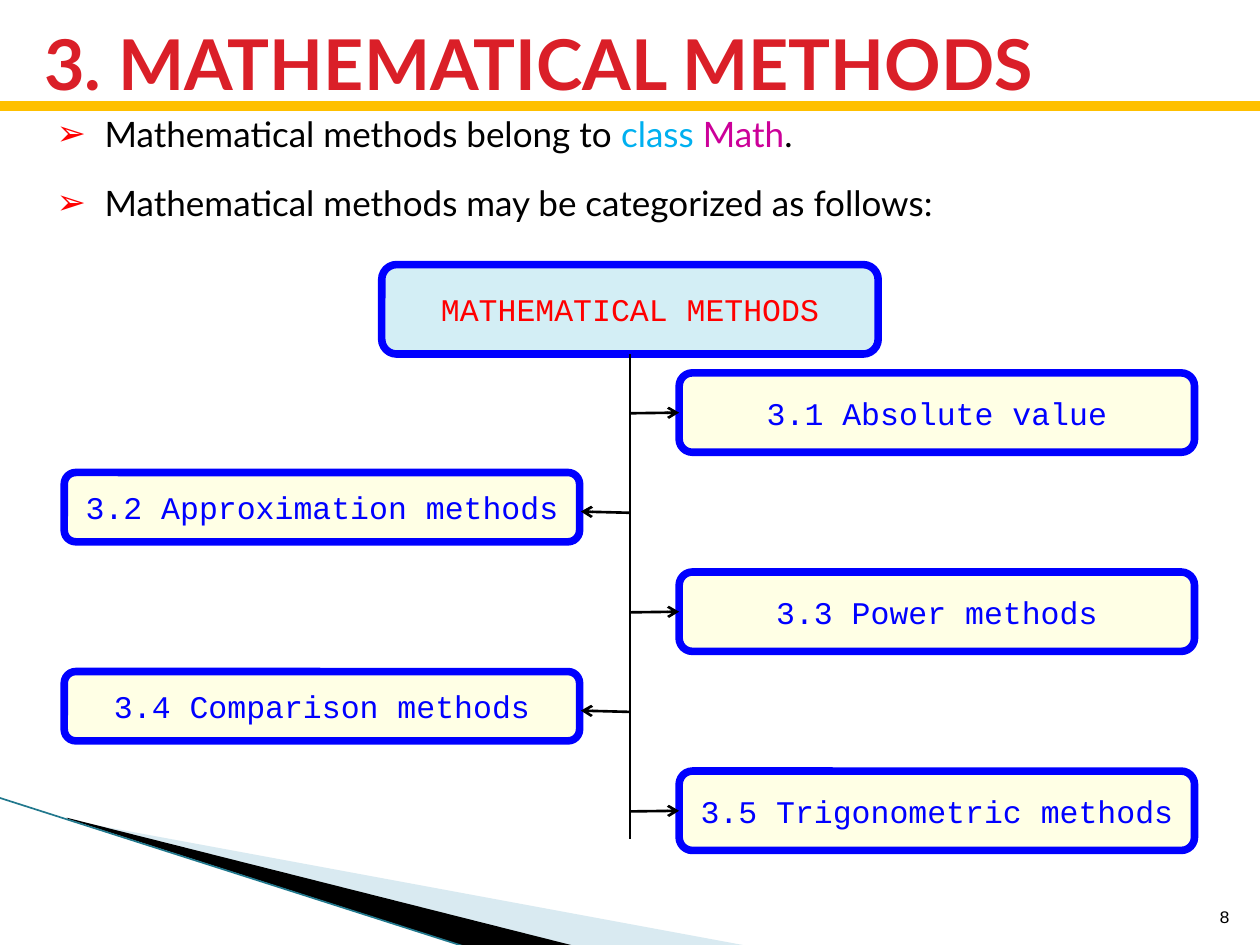
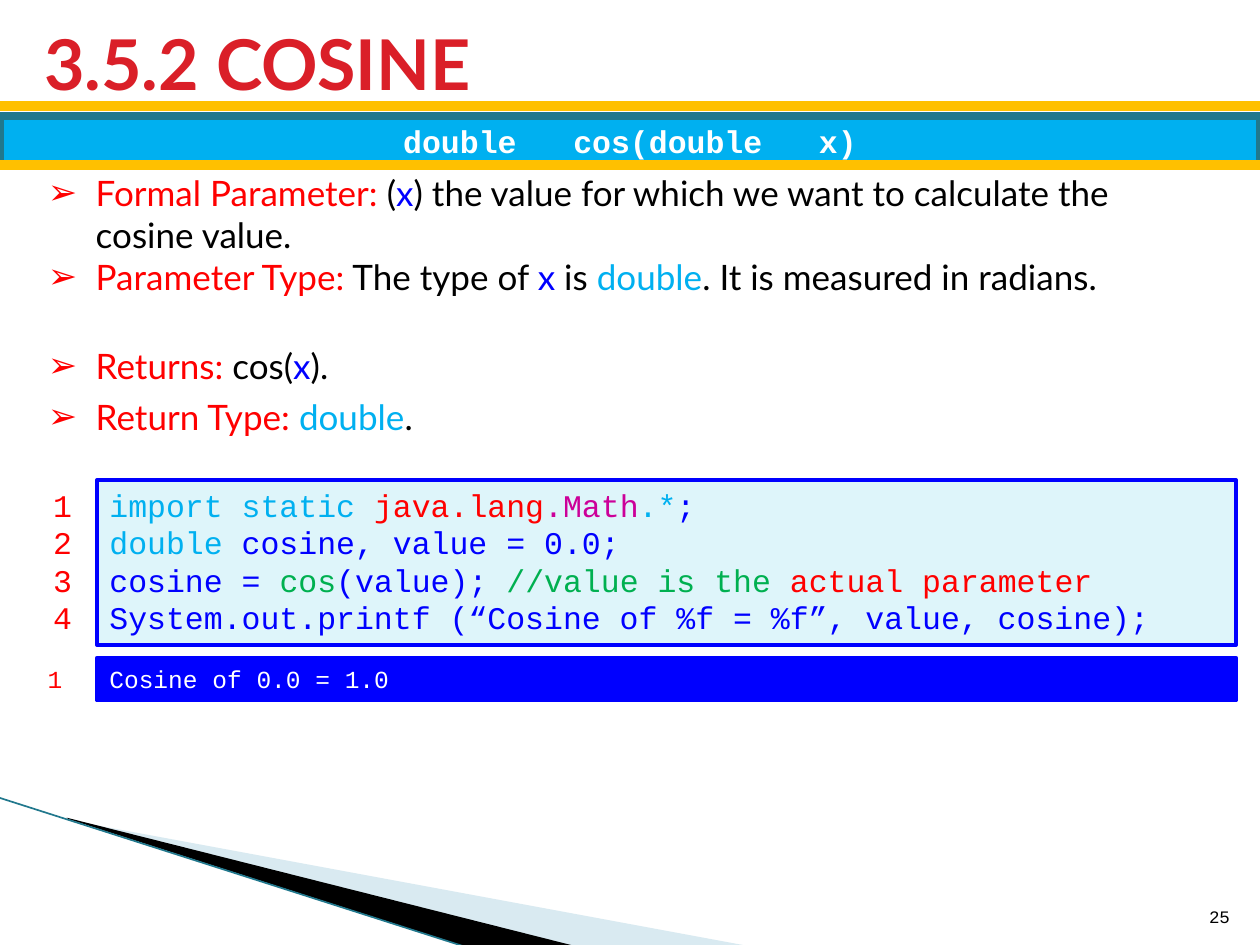
from lxml import etree
from pptx import Presentation
from pptx.dml.color import RGBColor
from pptx.enum.shapes import MSO_CONNECTOR, MSO_SHAPE
from pptx.enum.text import MSO_ANCHOR, MSO_AUTO_SIZE, PP_ALIGN
from pptx.oxml.ns import qn
from pptx.util import Inches, Pt

LEFT, CENTER, RIGHT = PP_ALIGN.LEFT, PP_ALIGN.CENTER, PP_ALIGN.RIGHT
TOP, MIDDLE, BOTTOM = MSO_ANCHOR.TOP, MSO_ANCHOR.MIDDLE, MSO_ANCHOR.BOTTOM
RECT, ROUNDED = MSO_SHAPE.RECTANGLE, MSO_SHAPE.ROUNDED_RECTANGLE
STRAIGHT = MSO_CONNECTOR.STRAIGHT
NO_AUTOFIT = MSO_AUTO_SIZE.NONE

COLORS = {
    "title": "DA1F28", "gold": "FFC000", "teal": "21788D", "pale": "A0CBDC",
    "black": "000000", "white": "FFFFFF", "red": "FF0000", "blue": "0000FF",
    "sky": "00B0F0", "magenta": "CC0099", "green": "00B050",
    "root": "D3EEF5", "cream": "FFFFE5", "code": "DEF5FA",
}
BODY_FONT, CODE_FONT = "Lato", "Courier New"
CODE_LEADING = 1.19
SIDE_LEFT, SIDE_RIGHT, SIDE_BOTTOM = 1, 3, 2


def rgb(name):
    return RGBColor.from_string(COLORS[name])


def box(x, y, w, h):
    return Inches(x), Inches(y), Inches(w), Inches(h)


def place(sp, x, y, w, h):
    sp.left, sp.top, sp.width, sp.height = box(x, y, w, h)


def add_runs(p, runs, font, size, bold=False):
    """Append (text, colour name) pairs to a paragraph."""
    for text, color in runs:
        r = p.add_run()
        r.text = text
        r.font.name, r.font.size, r.font.bold = font, Pt(size), bold
        r.font.color.rgb = rgb(color)


def fill_text(sp, lines, size, align=LEFT, anchor=TOP, bold=False, leading=None):
    """Write lines of code-style runs into a shape."""
    tf = sp.text_frame
    tf.word_wrap = True
    tf.vertical_anchor = anchor
    for i, runs in enumerate(lines):
        p = tf.add_paragraph() if i else tf.paragraphs[0]
        p.alignment = align
        if leading:
            p.line_spacing = Pt(size * leading)
        add_runs(p, runs, CODE_FONT, size, bold)


def add_label(s, bounds, lines, size, **style):
    fill_text(s.shapes.add_textbox(*box(*bounds)), lines, size, **style)


def add_box(s, preset, bounds, fill, line, line_width, lines, size, **style):
    sp = s.shapes.add_shape(preset, *box(*bounds))
    sp.shadow.inherit = False
    sp.fill.solid()
    sp.fill.fore_color.rgb = rgb(fill)
    sp.line.color.rgb = rgb(line)
    sp.line.width = Pt(line_width)
    fill_text(sp, lines, size, **style)
    return sp


def add_line(s, start, end, color, width, arrow=False):
    c = s.shapes.add_connector(STRAIGHT, *(Inches(v) for v in (*start, *end)))
    c.line.color.rgb = rgb(color)
    c.line.width = Pt(width)
    if arrow:
        etree.SubElement(c.line._get_or_add_ln(), qn("a:tailEnd"), type="arrow")
    etree.SubElement(c._element.spPr, qn("a:effectLst"))
    return c


def add_polygon(s, points, color, alpha=100):
    start, *rest = [(Inches(x), Inches(y)) for x, y in points]
    fb = s.shapes.build_freeform(*start)
    fb.add_line_segments(rest, close=True)
    sp = fb.convert_to_shape()
    sp.shadow.inherit = False
    sp.line.fill.background()
    sp.fill.solid()
    sp.fill.fore_color.rgb = rgb(color)
    if alpha < 100:
        clr = sp._element.spPr.find(f".//{qn('a:srgbClr')}")
        etree.SubElement(clr, qn("a:alpha"), val=str(alpha * 1000))


def add_gold_rule(s, y):
    add_line(s, (0, y), (10, y), "gold", 6)


def new_slide(prs, title, number):
    """Add a slide with the shared corner swoosh, title, rule and number."""
    s = prs.slides.add_slide(prs.slide_layouts[1])
    add_polygon(s, [(0.55, 6.51), (5.95, 7.51), (4.56, 7.51), (0.55, 6.5)], "pale", 40)
    add_polygon(s, [(0.53, 6.49), (4.57, 7.51), (3.72, 7.52), (0.54, 6.5)], "black")
    add_line(s, (-0.01, 6.33), (3.71, 7.52), "teal", 0.95)
    add_gold_rule(s, 0.84)

    place(s.shapes.title, 0.25, 0.17, 9.47, 0.65)
    tf = s.shapes.title.text_frame
    tf.auto_size = NO_AUTOFIT
    tf.vertical_anchor = MIDDLE
    p = tf.paragraphs[0]
    p.alignment = LEFT
    add_runs(p, [(title, "title")], BODY_FONT, 40, bold=True)

    add_label(s, (9.46, 7.01, 0.4, 0.4), [[(number, "black")]], 10,
              align=RIGHT, anchor=BOTTOM)
    return s


def fill_bullets(s, bounds, items):
    """Fill the body placeholder; items are (space before, runs)."""
    sp = s.placeholders[1]
    place(sp, *bounds)
    tf = sp.text_frame
    tf.auto_size = NO_AUTOFIT
    for i, (space, runs) in enumerate(items):
        p = tf.add_paragraph() if i else tf.paragraphs[0]
        pPr = p._p.get_or_add_pPr()
        pPr.set("marL", str(Inches(0.38)))
        pPr.set("indent", str(Inches(-0.38)))
        clr = etree.SubElement(pPr, qn("a:buClr"))
        etree.SubElement(clr, qn("a:srgbClr"), val=COLORS["red"])
        etree.SubElement(pPr, qn("a:buChar"), char="➢")
        p.line_spacing = 1.0
        p.space_before = Pt(space)
        add_runs(p, runs, BODY_FONT, 20)


def add_method_tree(s, root_name, methods):
    """Draw a trunk under the root with boxes alternating right and left."""
    trunk_x, first_top, step = 5, 2.96, 0.79
    style = {"align": CENTER, "anchor": MIDDLE}
    root = add_box(s, ROUNDED, (3.03, 2.1, 3.94, 0.71), "root", "blue", 4.33,
                   [[(root_name, "red")]], 18, **style)
    trunk = add_line(s, (trunk_x, 2.81), (trunk_x, 6.66), "black", 1.5)
    trunk.begin_connect(root, SIDE_BOTTOM)
    for i, name in enumerate(methods):
        top = first_top + i * step
        on_right = i % 2 == 0
        x, h = (5.39, 0.63) if on_right else (0.51, 0.55)
        sp = add_box(s, ROUNDED, (x, top, 4.09, h), "cream", "blue", 4.33,
                     [[(name, "blue")]], 18, **style)
        start = (trunk_x, top + 0.32)
        end = (x, top + 0.32) if on_right else (x + 4.1, top + 0.31)
        arrow = add_line(s, start, end, "black", 1.5, arrow=True)
        if on_right:
            arrow.end_connect(sp, SIDE_LEFT)


def add_listing(s, top, height, fill, lines, size, number_left, number_width, align):
    """Draw a framed listing with red line numbers beside it."""
    add_box(s, RECT, (0.77, top, 9.04, height), fill, "blue", 2.25, lines, size,
            leading=CODE_LEADING)
    numbers = [[(str(n), "red")] for n in range(1, len(lines) + 1)]
    add_label(s, (number_left, top, number_width, height), numbers, size,
              align=align, leading=CODE_LEADING)


def build_methods_slide(prs):
    s = new_slide(prs, "3. MATHEMATICAL METHODS", "8")
    fill_bullets(s, (0.35, 0.84, 9.45, 1.0), [
        (0, [("Mathematical methods belong to ", "black"), ("class ", "sky"),
             ("Math", "magenta"), (".", "black")]),
        (15.6, [("Mathematical methods may be categorized as follows:", "black")]),
    ])
    add_method_tree(s, "MATHEMATICAL METHODS", [
        "3.1 Absolute value", "3.2 Approximation methods", "3.3 Power methods",
        "3.4 Comparison methods", "3.5 Trigonometric methods",
    ])


def build_cosine_slide(prs):
    s = new_slide(prs, "3.5.2 COSINE", "25")
    add_box(s, RECT, (0, 0.92, 10, 0.39), "sky", "teal", 4.33,
            [[("double   cos(double   x)", "white")]], 18,
            align=CENTER, anchor=MIDDLE, bold=True)
    add_gold_rule(s, 1.31)
    fill_bullets(s, (0.28, 1.31, 9.45, 2.21), [
        (0, [("Formal Parameter:", "red"), (" (", "black"), ("x", "blue"),
             (") the value for which we want to calculate the cosine value.", "black")]),
        (0, [("Parameter Type:", "red"), (" The type of ", "black"), ("x", "blue"),
             (" is ", "black"), ("double", "sky"),
             (". It is measured in radians.", "black")]),
        (27, [("Returns:", "red"), (" cos(", "black"), ("x", "blue"), (").", "black")]),
        (4.8, [("Return Type: ", "red"), ("double", "sky"), (".", "black")]),
    ])
    add_listing(s, 3.81, 1.31, "code", [
        [("import static ", "sky"), ("java.lang", "red"), (".Math", "magenta"),
         (".*", "sky"), (";", "blue")],
        [("double", "sky"), (" cosine, value = 0.0;", "blue")],
        [("cosine = ", "blue"), ("cos", "green"), ("(value); ", "blue"),
         ("//value is the ", "green"), ("actual parameter", "red")],
        [("System.out.printf (“Cosine of %f = %f”, value, cosine);", "blue")],
    ], 18, 0.2, 0.47, RIGHT)
    add_listing(s, 5.22, 0.34, "blue", [[("Cosine of 0.0 = 1.0", "white")]],
                14, 0.28, 0.27, LEFT)


def main():
    prs = Presentation()
    prs.slide_width, prs.slide_height = Inches(10), Inches(7.5)
    build_methods_slide(prs)
    build_cosine_slide(prs)
    prs.save("out.pptx")


if __name__ == "__main__":
    main()
